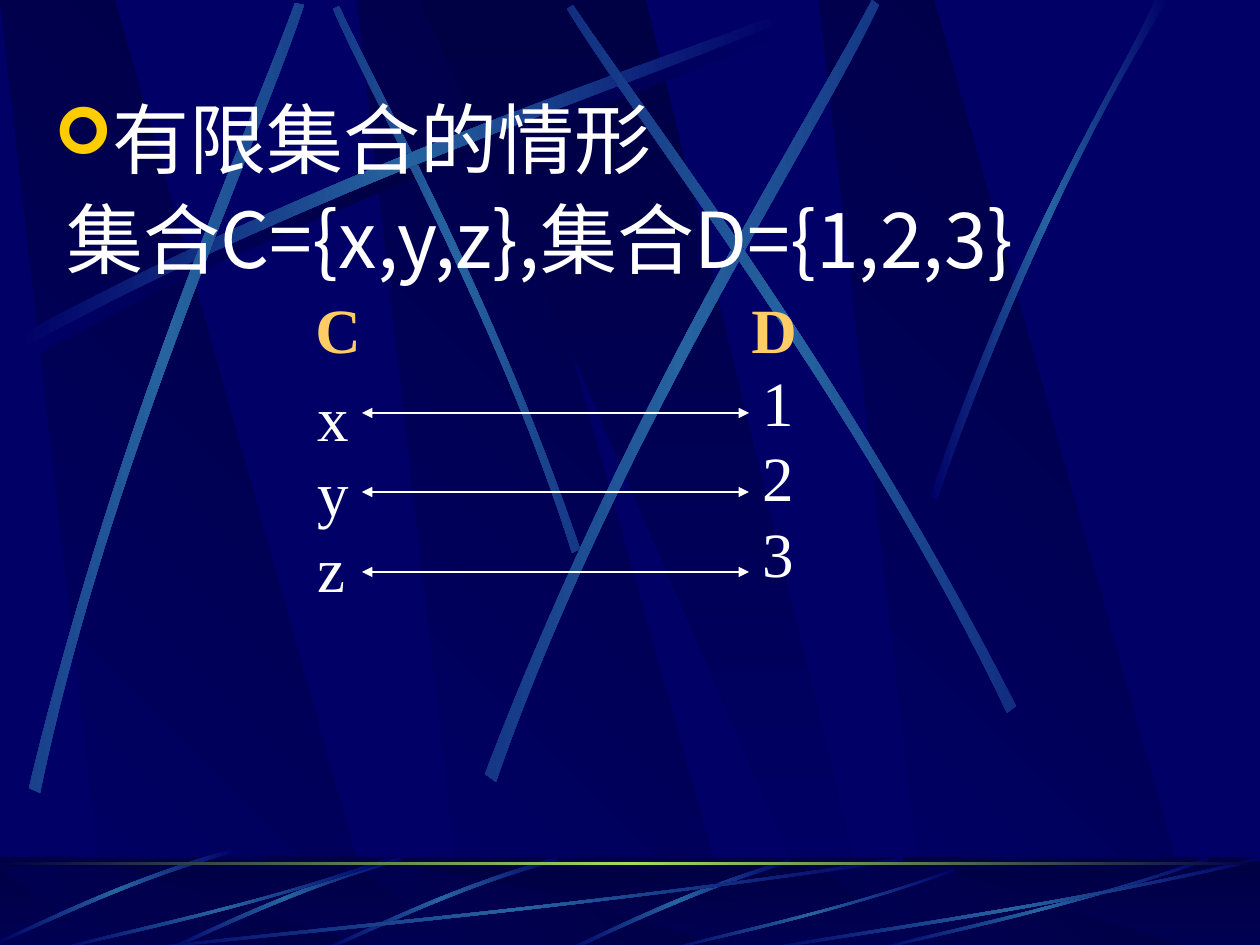
from dataclasses import dataclass
from math import cos, radians, sin

from lxml.etree import SubElement
from pptx import Presentation
from pptx.dml.color import RGBColor
from pptx.enum.shapes import MSO_CONNECTOR, MSO_SHAPE
from pptx.enum.text import MSO_ANCHOR, MSO_AUTO_SIZE, PP_ALIGN
from pptx.oxml import parse_xml
from pptx.oxml.ns import nsdecls, qn
from pptx.util import Emu, Pt

PX = 914400 / 126
NAVY = RGBColor(0x00, 0x00, 0x66)
DARK = RGBColor(0x00, 0x00, 0x44)
STEEL = RGBColor(0x26, 0x63, 0xA0)
LIME = RGBColor(0x9C, 0xE1, 0x57)
WHITE = RGBColor(0xFF, 0xFF, 0xFF)
GOLD = RGBColor(0xFF, 0xCC, 0x00)
AMBER = RGBColor(0xFF, 0xCC, 0x66)
SANS, SERIF = "Noto Sans CJK SC", "Times New Roman"

Point = tuple[float, float]


@dataclass(frozen=True)
class Beam:
    """Two Bezier edges of four points each; rot is the rotation of the shape."""
    points: list[Point]
    rot: float = 0
    mid: RGBColor = STEEL


def shifted(points: list[Point], dx: int, dy: int) -> list[Point]:
    return [(x + dx, y + dy) for x, y in points]


SKY = [(18, 336), (350, 158), (653, 64), (781, 13), (785, 20), (658, 77), (312, 187), (21, 349)]
SKY_BEAMS = [
    Beam(shifted(SKY, 8, 10), mid=DARK),
    Beam([(580, 549), (493, 295), (381, 97), (339, 6),
          (333, 9), (372, 100), (501, 325), (572, 553)], 45),
    Beam(SKY),
    Beam([(29, 788), (117, 421), (248, 132), (295, 3),
          (304, 5), (261, 137), (108, 464), (40, 793)], 311.7),
    Beam([(485, 774), (627, 403), (804, 129), (872, 0),
          (879, 5), (818, 136), (612, 447), (496, 782)], 321.6),
    Beam([(1016, 706), (844, 369), (650, 120), (573, 5),
          (567, 9), (639, 127), (863, 410), (1007, 713)], 34.8),
    Beam([(930, 496), (1026, 218), (1119, 83), (1155, 0),
          (1168, 0), (1053, 183), (969, 406), (937, 500)]),
]
SHORT = [(557, 857), (447, 888), (362, 932), (323, 949),
         (324, 951), (363, 936), (460, 886), (559, 861)]
# Long floor beam as fractions of its box
LONG = [(1, 0.04), (0.57, 0.57), (0.17, 0.85), (0.01, 1),
        (0, 0.99), (0.16, 0.81), (0.62, 0.51), (1, 0)]
LONG_BOXES = [(126, 857, 777, 94), (53, 857, 336, 94), (664, 868, 291, 83),
              (872, 857, 336, 94), (756, 857, 504, 94)]
FLOOR_BEAMS = [
    Beam([(790, 859), (677, 893), (601, 935), (564, 950),
          (571, 951), (617, 929), (719, 882), (791, 863)]),
    *[Beam(shifted(SHORT, dx, dy), 314.9) for dx, dy in ((0, 0), (-157, 0), (-325, -8))],
    *[Beam([(x + w * u, y + h * v) for u, v in LONG]) for x, y, w, h in LONG_BOXES],
]


def px(n: float) -> Emu:
    return Emu(round(n * PX))


def set_gradient(sp, colors: list[RGBColor], angle: int) -> None:
    stops = "".join(
        f'<a:gs pos="{100000 * i // (len(colors) - 1)}"><a:srgbClr val="{c}"/></a:gs>'
        for i, c in enumerate(colors))
    grad = parse_xml(f'<a:gradFill {nsdecls("a")} rotWithShape="0"><a:gsLst>{stops}</a:gsLst>'
                     f'<a:lin ang="{angle * 60000}" scaled="1"/></a:gradFill>')
    sp.fill.background()
    no_fill = sp._element.spPr.find(qn("a:noFill"))
    no_fill.getparent().replace(no_fill, grad)


def make_plain(sp) -> None:
    sp.shadow.inherit = False
    sp.line.fill.background()


def turn(point: Point, degrees: float) -> Point:
    a = radians(degrees)
    x, y = point
    return x * cos(a) - y * sin(a), x * sin(a) + y * cos(a)


def add_outline(s, points: list[Point], colors: list[RGBColor], angle: int, rot: float = 0):
    """Build the outline upright, then rotate it back to where its points lie."""
    pts = [turn((x * PX, y * PX), -rot) for x, y in points]
    builder = s.shapes.build_freeform(*pts[0], scale=1.0)
    builder.add_line_segments(pts[1:], close=True)
    sp = builder.convert_to_shape()
    cx, cy = turn((sp.left + sp.width / 2, sp.top + sp.height / 2), rot)
    sp.left, sp.top = Emu(round(cx - sp.width / 2)), Emu(round(cy - sp.height / 2))
    sp.rotation = rot
    make_plain(sp)
    set_gradient(sp, colors, angle)
    return sp


def bend_edges(sp) -> None:
    """Turn the first and last three segments of the outline into Bezier curves."""
    lines = list(sp._element.iter(qn("a:lnTo")))
    for first, *rest in (lines[:3], lines[4:7]):
        first.tag = qn("a:cubicBezTo")
        for line in rest:
            first.append(line[0])
            line.getparent().remove(line)


def add_beams(s, beams: list[Beam]) -> None:
    for beam in beams:
        bend_edges(add_outline(s, beam.points, [NAVY, beam.mid, NAVY], 0, beam.rot))


def add_panels(s, top: int, bottom: int) -> None:
    for left in (357, 0, 819):
        panel = [(108, bottom), (381, bottom), (115, top), (0, top)]
        add_outline(s, shifted(panel, left, 0), [NAVY, DARK], 315)
    add_outline(s, [(420, top), (829, bottom), (874, bottom), (646, top)], [DARK, NAVY], 90)


def add_band(s, top: int, height: int):
    sp = s.shapes.add_shape(MSO_SHAPE.RECTANGLE, 0, px(top), px(1260), px(height))
    make_plain(sp)
    return sp


def add_background(s) -> None:
    add_panels(s, 0, 946)
    add_beams(s, SKY_BEAMS)
    set_gradient(add_band(s, 857, 94), [DARK, NAVY], 90)
    add_panels(s, 867, 951)
    veil = add_band(s, 857, 94)
    veil.fill.solid()
    veil.fill.fore_color.rgb = DARK
    SubElement(veil._element.spPr.find(".//" + qn("a:srgbClr")), qn("a:alpha"), val="50000")
    add_beams(s, FLOOR_BEAMS)
    set_gradient(add_band(s, 862, 3), [DARK, LIME, DARK], 0)


def move_to_master(s, master) -> None:
    """Hand the decoration over to the master, which has no drawing methods."""
    master.background.fill.solid()
    master.background.fill.fore_color.rgb = NAVY
    art = [sp._element for sp in s.shapes if not sp.is_placeholder]
    for i, element in enumerate(art):
        element.nvSpPr.cNvPr.set("id", str(100 + i))
        master.shapes._spTree.insert(2 + i, element)


def set_text(sp, lines: list[str], *, size: int, font: str, color: RGBColor = WHITE,
             bold: bool = False, wrap: bool = True, spacing: float = 1.0,
             hanging: int = 0, bullet: str = "") -> None:
    tf = sp.text_frame
    tf.word_wrap = wrap
    tf.auto_size = MSO_AUTO_SIZE.NONE if wrap else MSO_AUTO_SIZE.SHAPE_TO_FIT_TEXT
    tf.vertical_anchor = MSO_ANCHOR.TOP
    for i, line in enumerate(lines):
        p = tf.paragraphs[0] if i == 0 else tf.add_paragraph()
        p.alignment, p.line_spacing, p.space_before = PP_ALIGN.LEFT, spacing, Pt(0)
        pPr = p._p.get_or_add_pPr()
        pPr.set("marL", str(px(hanging)))
        pPr.set("indent", str(-px(hanging)))
        if bullet:
            SubElement(SubElement(pPr, qn("a:buClr")), qn("a:srgbClr"), val=str(GOLD))
            SubElement(pPr, qn("a:buSzPct"), val="85000")
            SubElement(pPr, qn("a:buFont"), typeface="Wingdings", charset="2")
            SubElement(pPr, qn("a:buChar"), char=bullet)
        else:
            SubElement(pPr, qn("a:buNone"))
        r = p.add_run()
        r.text = line
        r.font.size, r.font.name, r.font.bold = Pt(size), font, bold
        r.font.color.rgb = color
        SubElement(r._r.get_or_add_rPr(), qn("a:ea"), typeface=font)


def add_text(s, box: tuple[int, int, int, int], lines: list[str], **fmt) -> None:
    set_text(s.shapes.add_textbox(*map(px, box)), lines, **fmt)


def add_double_arrow(s, x1: int, x2: int, y: int) -> None:
    line = s.shapes.add_connector(MSO_CONNECTOR.STRAIGHT, px(x1), px(y), px(x2), px(y))
    line.line.color.rgb = WHITE
    line.line.width = Pt(0.75)
    ln = line.line._get_or_add_ln()
    for end in ("a:headEnd", "a:tailEnd"):
        SubElement(ln, qn(end), type="triangle")
    SubElement(line._element.spPr, qn("a:effectLst"))


def main() -> None:
    prs = Presentation()
    prs.slide_width, prs.slide_height = px(1260), px(945)
    s = prs.slides.add_slide(prs.slide_layouts[1])
    add_background(s)
    move_to_master(s, prs.slide_master)
    title, body = s.shapes.title, s.placeholders[1]
    title._element.getparent().remove(title._element)
    body.left, body.top, body.width, body.height = map(px, (54, 185, 1142, 586))
    set_text(body, ["集合C={x,y,z},集合D={1,2,3}"], size=44, font=SANS, hanging=48)
    add_text(s, (42, 96, 1187, 127), ["有限集合的情形"], size=44, font=SANS,
             spacing=0.9, hanging=48, bullet="➢")
    for box, lines in (((305, 372, 57, 315), ["x", "y", "z"]),
                       ((750, 357, 57, 315), ["1", "2", "3"])):
        add_text(s, box, lines, size=36, font=SERIF, wrap=False)
    for left, name in ((303, "C"), (739, "D")):
        add_text(s, (left, 284, 71, 88), [name], size=36, font=SERIF,
                 color=AMBER, bold=True, wrap=False)
    for y in (413, 492, 572):
        add_double_arrow(s, 362, 749, y)
    prs.save("out.pptx")


if __name__ == "__main__":
    main()
